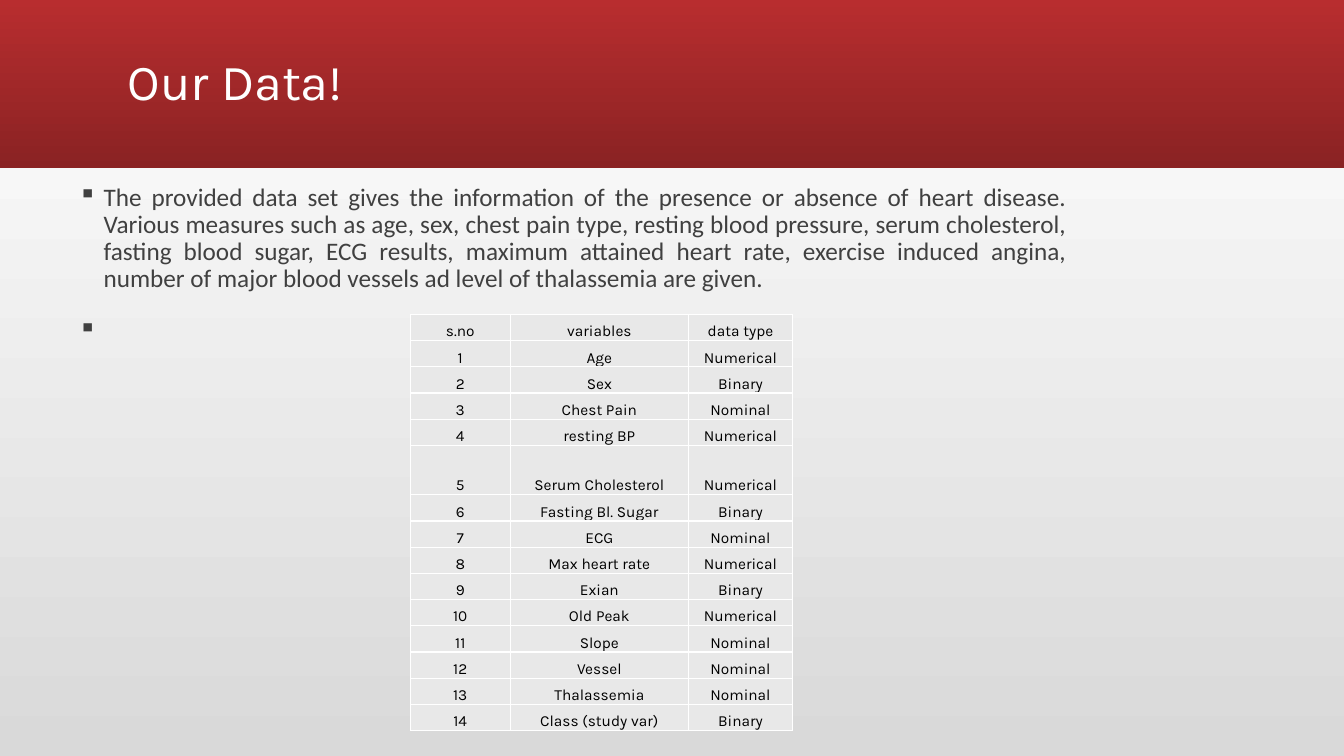
from dataclasses import dataclass

from lxml import etree
from pptx import Presentation
from pptx import util as u
from pptx.dml.color import RGBColor
from pptx.enum import shapes, text
from pptx.oxml import ns

TITLE = "Our Data!"
SUMMARY = (
    "The provided data set gives the information of the presence or absence of heart "
    "disease. Various measures such as age, sex, chest pain type, resting blood pressure, "
    "serum cholesterol, fasting blood sugar, ECG results, maximum attained heart rate, "
    "exercise induced angina, number of major blood vessels ad level of thalassemia are given."
)
BULLETS = [(SUMMARY, text.PP_ALIGN.JUSTIFY), (" ", text.PP_ALIGN.LEFT)]
HEADER = ("s.no", "variables", "data type")
VARIABLES = [
    ("Age", "Numerical"),
    ("Sex", "Binary"),
    ("Chest Pain", "Nominal"),
    ("resting BP", "Numerical"),
    ("Serum Cholesterol", "Numerical"),
    ("Fasting Bl. Sugar", "Binary"),
    ("ECG", "Nominal"),
    ("Max heart rate", "Numerical"),
    ("Exian", "Binary"),
    ("Old Peak", "Numerical"),
    ("Slope", "Nominal"),
    ("Vessel", "Nominal"),
    ("Thalassemia", "Nominal"),
    ("Class (study var)", "Binary"),
]
TALL_ROW = 5


@dataclass(frozen=True)
class Theme:
    heading_font: str = "Karla"
    body_font: str = "Calibri"
    title_size: int = 36
    body_size: int = 18
    cell_size: int = 11
    white: str = "FFFFFF"
    body: str = "404040"
    cell_text: str = "000000"
    cell_fill: str = "E8E8E8"
    backdrop: tuple = ("D9D9D9", "FFFFFF")
    band: tuple = ("B82D2F", "8A2223")


THEME = Theme()
WIDTH, HEIGHT = 13.33, 7.5
BAND_HEIGHT = HEIGHT * 2 / 9
TITLE_BOX = (1.17, 0.11, 11, 1.45)
BODY_BOX = (0.68, 1.78, 10, 5)
BULLET_INDENT = 0.25
TABLE_LEFT, TABLE_TOP = 4.07, 3.12
COLUMN_WIDTHS = (0.99, 1.77, 1.03)
ROW_HEIGHT, TALL_HEIGHT = 0.26, 0.49
CELL_MARGIN = 0.01


def inches(*lengths):
    return [u.Inches(length) for length in lengths]


def fill_gradient(fill, colors, angle):
    """Blend two colours; the angle runs counter-clockwise."""
    fill.gradient()
    fill.gradient_angle = angle
    for stop, color in zip(fill.gradient_stops, colors):
        stop.color.rgb = RGBColor.from_string(color)


def add_run(paragraph, words, font, size, color):
    run = paragraph.add_run()
    run.text = words
    run.font.name = font
    run.font.size = u.Pt(size)
    run.font.color.rgb = RGBColor.from_string(color)


def add_text_frame(slide, box, anchor):
    frame = slide.shapes.add_textbox(*inches(*box)).text_frame
    frame.word_wrap = True
    frame.vertical_anchor = anchor
    return frame


def add_bullet(paragraph):
    properties = paragraph._p.get_or_add_pPr()
    indent = u.Inches(BULLET_INDENT)
    properties.set("marL", str(indent))
    properties.set("indent", str(-indent))
    etree.SubElement(properties, ns.qn("a:buChar"), char="▪")


def add_borders(cell):
    properties = cell._tc.get_or_add_tcPr()
    for side in ("lnL", "lnR", "lnT", "lnB"):
        line = etree.SubElement(properties, ns.qn(f"a:{side}"), w=str(u.Pt(1)))
        solid = etree.SubElement(line, ns.qn("a:solidFill"))
        etree.SubElement(solid, ns.qn("a:srgbClr"), val=THEME.white)


def add_band(slide):
    band = slide.shapes.add_shape(
        shapes.MSO_SHAPE.RECTANGLE, *inches(0, 0, WIDTH, BAND_HEIGHT))
    band.shadow.inherit = False
    band.line.fill.background()
    fill_gradient(band.fill, THEME.band, 270)


def add_title(slide):
    frame = add_text_frame(slide, TITLE_BOX, text.MSO_ANCHOR.MIDDLE)
    heading = frame.paragraphs[0]
    heading.line_spacing = 0.9
    add_run(heading, TITLE, THEME.heading_font, THEME.title_size, THEME.white)


def add_body(slide):
    frame = add_text_frame(slide, BODY_BOX, text.MSO_ANCHOR.TOP)
    for index, (words, alignment) in enumerate(BULLETS):
        paragraph = frame.add_paragraph() if index else frame.paragraphs[0]
        paragraph.alignment = alignment
        paragraph.line_spacing = 0.9
        paragraph.space_before = u.Pt(18)
        add_bullet(paragraph)
        add_run(paragraph, words, THEME.body_font, THEME.body_size, THEME.body)


def fill_cell(cell, words):
    cell.margin_left = cell.margin_right = cell.margin_top = u.Inches(CELL_MARGIN)
    cell.margin_bottom = 0
    cell.vertical_anchor = text.MSO_ANCHOR.BOTTOM
    add_borders(cell)
    cell.fill.solid()
    cell.fill.fore_color.rgb = RGBColor.from_string(THEME.cell_fill)
    paragraph = cell.text_frame.paragraphs[0]
    paragraph.alignment = text.PP_ALIGN.CENTER
    add_run(paragraph, words, THEME.heading_font, THEME.cell_size, THEME.cell_text)


def add_variable_table(slide):
    rows = [HEADER] + [(str(number), *variable)
                       for number, variable in enumerate(VARIABLES, 1)]
    heights = [TALL_HEIGHT if index == TALL_ROW else ROW_HEIGHT
               for index in range(len(rows))]
    table = slide.shapes.add_table(
        len(rows), len(HEADER),
        *inches(TABLE_LEFT, TABLE_TOP, sum(COLUMN_WIDTHS), sum(heights))).table
    table.first_row = table.horz_banding = False
    for column, width in zip(table.columns, COLUMN_WIDTHS):
        column.width = u.Inches(width)
    for row, height, values in zip(table.rows, heights, rows):
        row.height = u.Inches(height)
        for cell, words in zip(row.cells, values):
            fill_cell(cell, words)


def main():
    deck = Presentation()
    deck.slide_width, deck.slide_height = inches(WIDTH, HEIGHT)
    slide = deck.slides.add_slide(deck.slide_layouts[6])
    fill_gradient(slide.background.fill, THEME.backdrop, 90)
    add_band(slide)
    add_title(slide)
    add_body(slide)
    add_variable_table(slide)
    deck.save("out.pptx")


if __name__ == "__main__":
    main()
